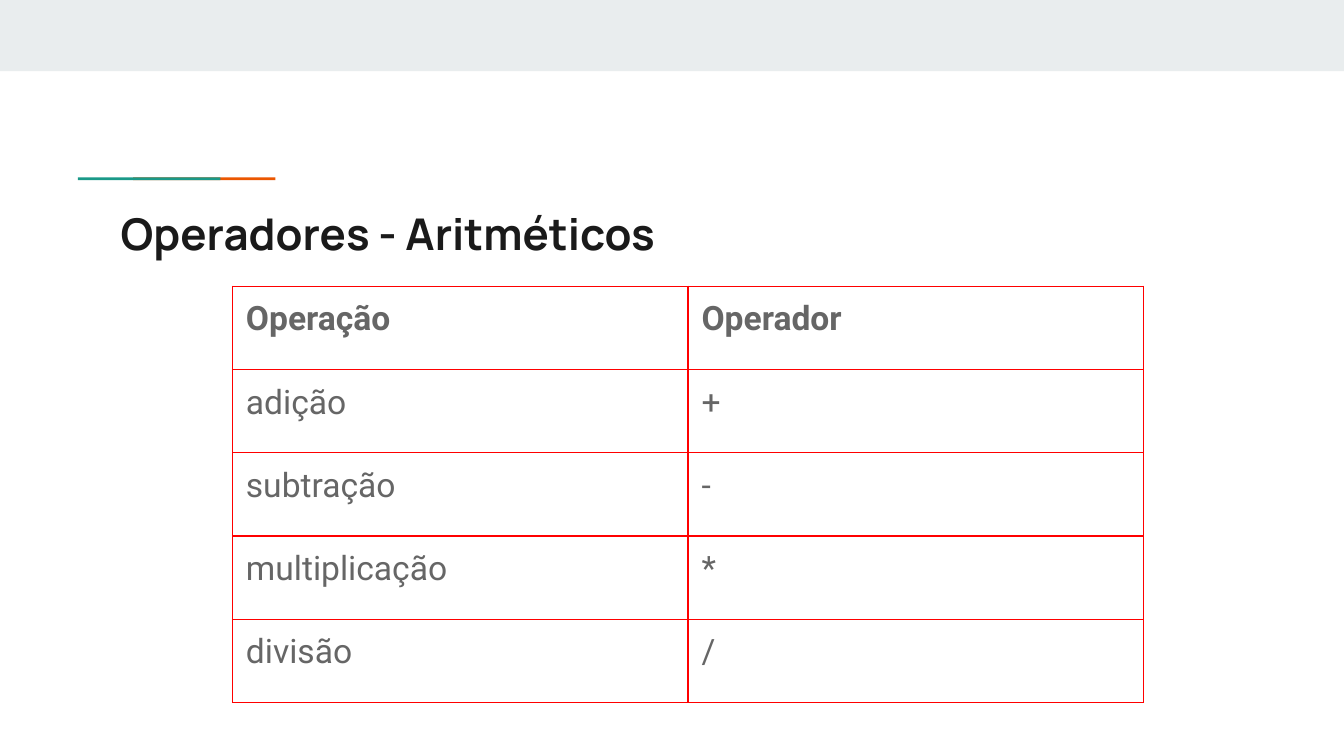
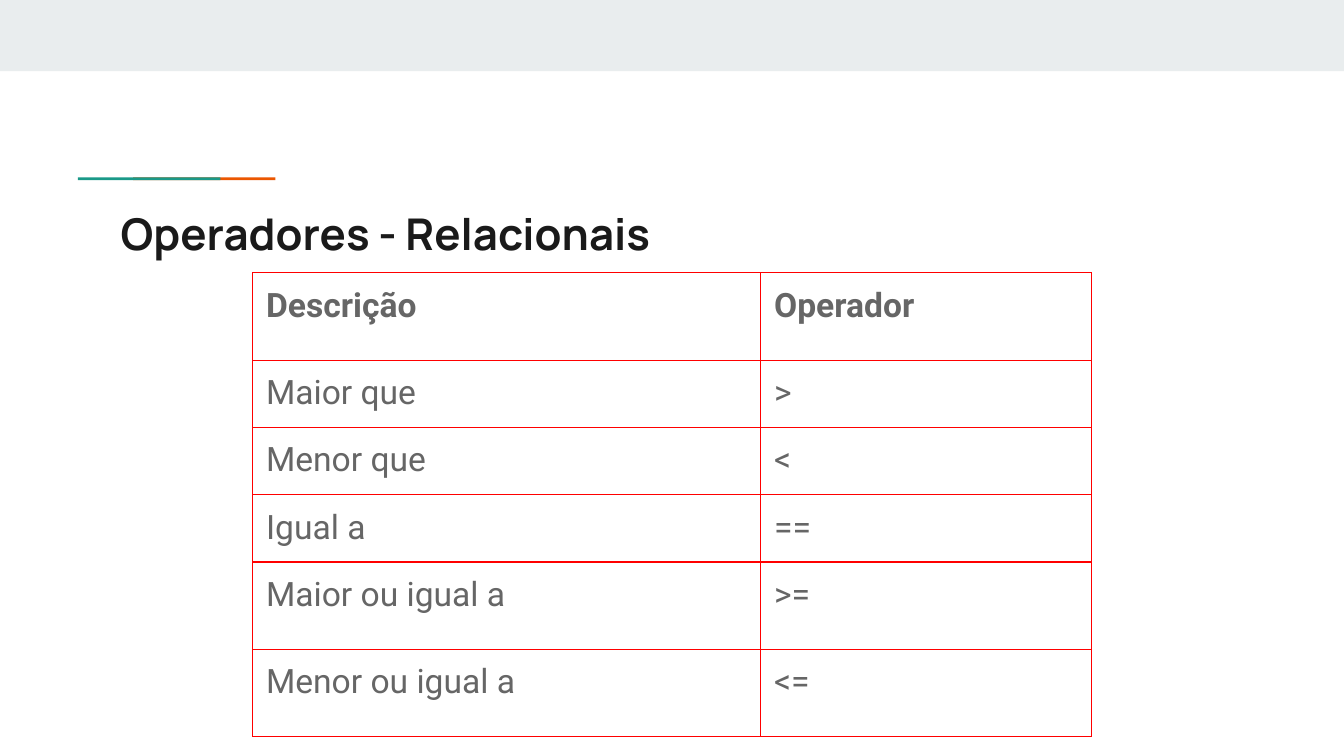
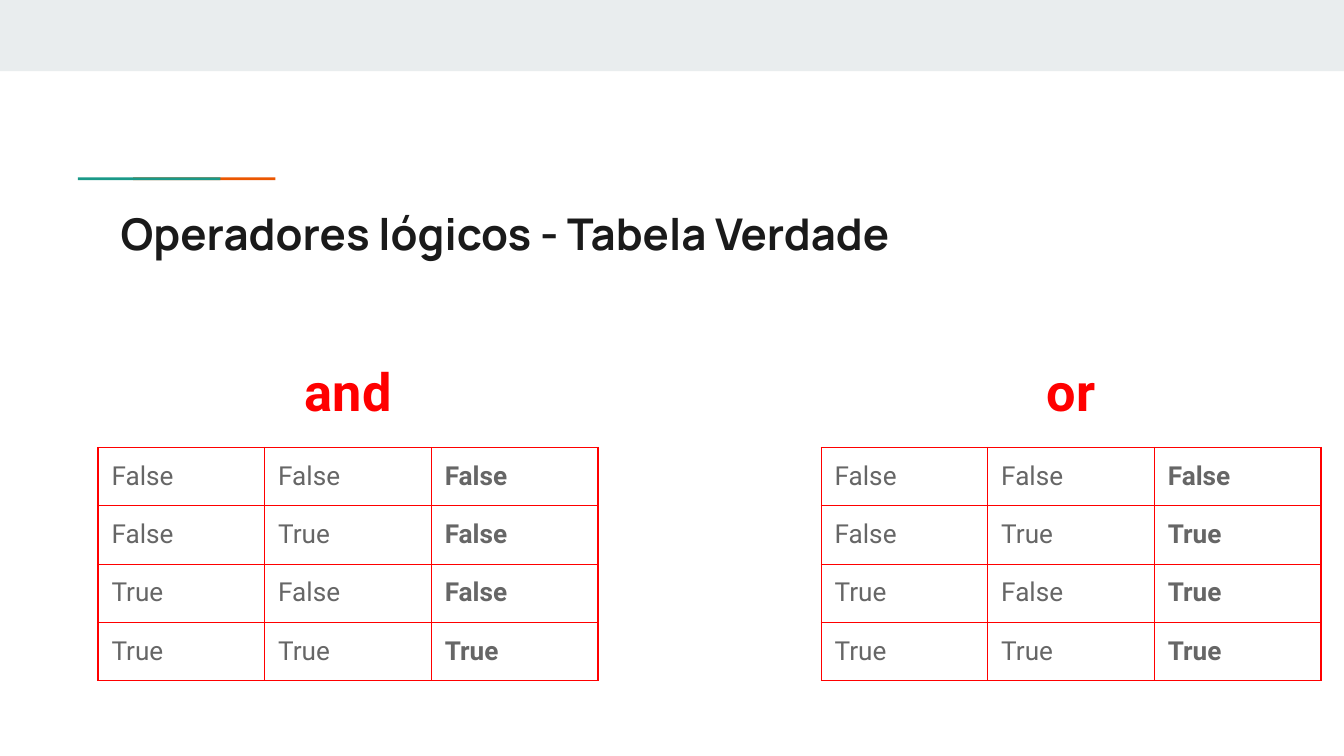
from dataclasses import dataclass

from lxml.etree import SubElement
from pptx import Presentation
from pptx.dml.color import RGBColor
from pptx.enum.shapes import MSO_SHAPE as Shape
from pptx.enum.text import MSO_ANCHOR as Anchor, PP_ALIGN as Align
from pptx.oxml import parse_xml
from pptx.oxml.ns import nsdecls, qn
from pptx.util import Inches, Pt


@dataclass(frozen=True)
class Theme:
    band: str = "E9EDEE"
    teal: str = "1A9988"
    orange: str = "EB5600"
    ink: str = "1A1A1A"
    body: str = "666666"
    red: str = "FF0000"
    title_font: str = "Manrope"
    body_font: str = "Roboto"
    title_size: float = 23.4
    label_size: float = 28
    table_size: float = 18
    truth_size: float = 14
    border_width: float = 0.75
    inset: float = 0.1


THEME = Theme()


@dataclass(frozen=True)
class Bar:
    left: float
    top: float
    width: float
    height: float
    color: str


@dataclass(frozen=True)
class Grid:
    left: float
    top: float
    columns: list[float]
    heights: list[float]
    rows: list[tuple[str, ...]]
    size: float = THEME.table_size
    bold_row: int | None = None
    bold_column: int | None = None


@dataclass(frozen=True)
class TruthTable:
    label: str
    left: float
    results: tuple[str, ...]


BARS = [
    Bar(0, 0, 10, 0.53, THEME.band),
    Bar(0.99, 1.32, 1.06, 0.02, THEME.orange),
    Bar(0.58, 1.32, 1.06, 0.02, THEME.teal),
]

ARITHMETIC = Grid(
    1.73, 2.13, [3.39] * 2, [0.62] * 5,
    [
        ("Operação", "Operador"),
        ("adição", "+"),
        ("subtração", "-"),
        ("multiplicação", "*"),
        ("divisão", "/"),
    ],
    bold_row=0,
)

RELATIONAL = Grid(
    1.88, 2.03, [3.78, 2.46], [0.65, 0.46, 0.46, 0.46, 0.65, 0.65],
    [
        ("Descrição", "Operador"),
        ("Maior que", ">"),
        ("Menor que", "<"),
        ("Igual a", "=="),
        ("Maior ou igual a", ">="),
        ("Menor ou igual a", "<="),
    ],
    bold_row=0,
)

OPERANDS = [("False", "False"), ("False", "True"), ("True", "False"), ("True", "True")]
TRUTH_TABLES = [
    TruthTable("and", 0.73, ("False", "False", "False", "True")),
    TruthTable("or", 6.11, ("False", "True", "True", "True")),
]


def write_text(frame, text: str, *, font: str, size: float, color: str,
               bold: bool = False, align: Align = Align.LEFT) -> None:
    para = frame.paragraphs[0]
    para.alignment = align
    span = para.add_run()
    span.text = text
    span.font.name = font
    span.font.size = Pt(size)
    span.font.bold = bold
    span.font.color.rgb = RGBColor.from_string(color)


def add_text(page, text: str, *, left: float, top: float, width: float,
             height: float, **style) -> None:
    box = page.shapes.add_textbox(
        Inches(left), Inches(top), Inches(width), Inches(height))
    frame = box.text_frame
    frame.word_wrap = True
    frame.vertical_anchor = Anchor.TOP
    frame.margin_left = frame.margin_right = Inches(THEME.inset)
    frame.margin_top = frame.margin_bottom = Inches(THEME.inset)
    write_text(frame, text, **style)


def add_bar(page, bar: Bar) -> None:
    shape = page.shapes.add_shape(
        Shape.RECTANGLE, Inches(bar.left), Inches(bar.top),
        Inches(bar.width), Inches(bar.height))
    shape.shadow.inherit = False
    shape.fill.solid()
    shape.fill.fore_color.rgb = RGBColor.from_string(bar.color)
    shape.line.fill.background()


def add_borders(cell) -> None:
    properties = cell._tc.get_or_add_tcPr()
    for index, side in enumerate(("lnL", "lnR", "lnT", "lnB")):
        line = parse_xml(f'<a:{side} {nsdecls("a")} w="{Pt(THEME.border_width)}"/>')
        fill = SubElement(line, qn("a:solidFill"))
        SubElement(fill, qn("a:srgbClr"), val=THEME.red)
        properties.insert(index, line)


def add_grid(page, grid: Grid) -> None:
    table = page.shapes.add_table(
        len(grid.rows), len(grid.columns), Inches(grid.left), Inches(grid.top),
        Inches(sum(grid.columns)), Inches(sum(grid.heights))).table
    table.first_row = table.horz_banding = False
    for column, width in zip(table.columns, grid.columns):
        column.width = Inches(width)
    for row, height in zip(table.rows, grid.heights):
        row.height = Inches(height)
    for row_index, values in enumerate(grid.rows):
        for column_index, value in enumerate(values):
            cell = table.cell(row_index, column_index)
            cell.margin_left = cell.margin_right = Inches(THEME.inset)
            cell.margin_top = cell.margin_bottom = Inches(THEME.inset)
            cell.vertical_anchor = Anchor.TOP
            cell.fill.background()
            add_borders(cell)
            write_text(
                cell.text_frame, value, font=THEME.body_font, size=grid.size,
                color=THEME.body,
                bold=row_index == grid.bold_row or column_index == grid.bold_column)


def add_truth_table(page, truth: TruthTable) -> None:
    rows = [(*pair, result) for pair, result in zip(OPERANDS, truth.results)]
    add_grid(page, Grid(truth.left, 3.33, [1.24] * 3, [0.38] * 4, rows,
                        size=THEME.truth_size, bold_column=2))
    add_text(page, truth.label, left=truth.left + 1.1, top=2.57, width=1.52,
             height=0.63, font=THEME.body_font, size=THEME.label_size,
             color=THEME.red, bold=True, align=Align.CENTER)


def add_page(deck, title: str):
    page = deck.slides.add_slide(deck.slide_layouts[6])
    for bar in BARS:
        add_bar(page, bar)
    add_text(page, title, left=0.8, top=1.44, width=8.41, height=0.59,
             font=THEME.title_font, size=THEME.title_size, color=THEME.ink, bold=True)
    return page


def main() -> None:
    deck = Presentation()
    deck.slide_width = Inches(10)
    deck.slide_height = Inches(10 * 9 / 16)
    add_grid(add_page(deck, "Operadores - Aritméticos"), ARITHMETIC)
    add_grid(add_page(deck, "Operadores - Relacionais"), RELATIONAL)
    page = add_page(deck, "Operadores lógicos - Tabela Verdade")
    for truth in TRUTH_TABLES:
        add_truth_table(page, truth)
    deck.save("out.pptx")


if __name__ == "__main__":
    main()
